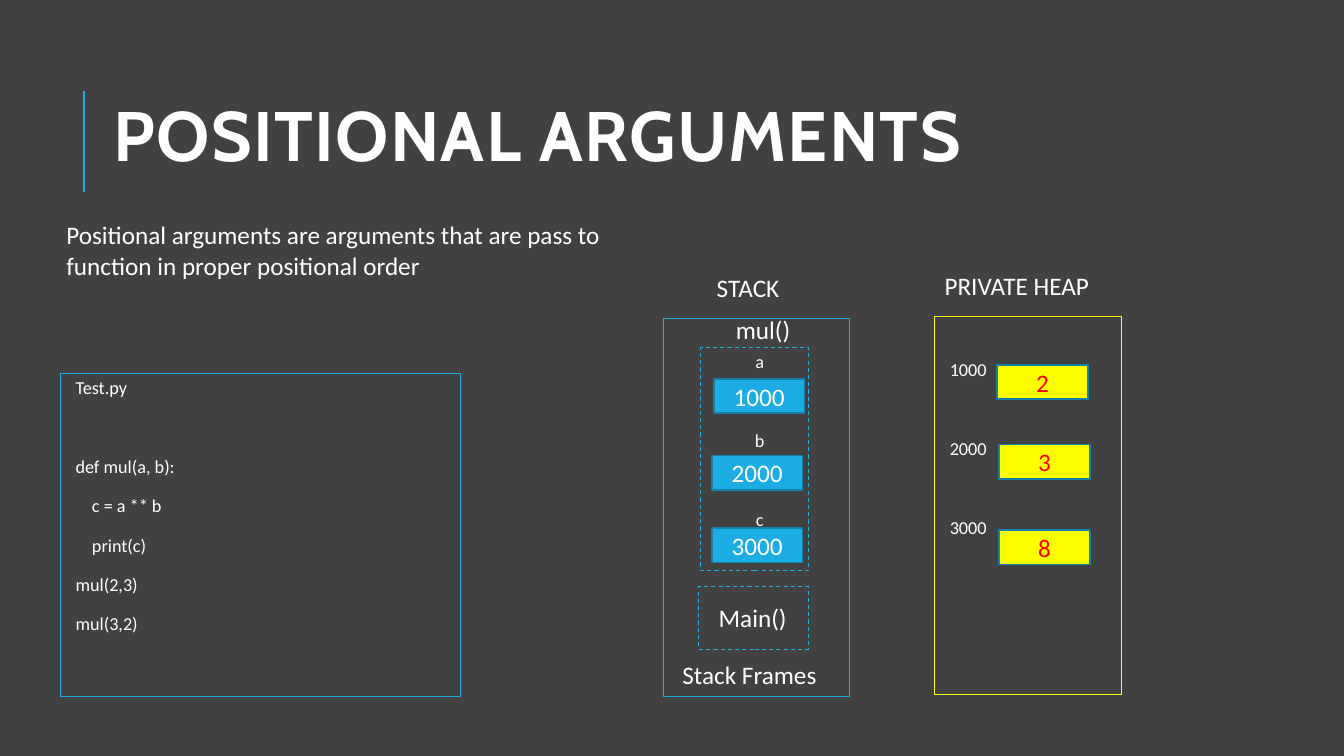
from dataclasses import dataclass

from lxml import etree
from pptx import Presentation
from pptx.dml.color import RGBColor
from pptx.enum.dml import MSO_LINE
from pptx.enum.shapes import MSO_CONNECTOR, MSO_SHAPE
from pptx.enum.text import MSO_ANCHOR, PP_ALIGN
from pptx.oxml.ns import qn
from pptx.util import Inches, Pt

RECTANGLE = MSO_SHAPE.RECTANGLE
STRAIGHT = MSO_CONNECTOR.STRAIGHT
DASH = MSO_LINE.DASH
LEFT, CENTER = PP_ALIGN.LEFT, PP_ALIGN.CENTER
TOP, MIDDLE = MSO_ANCHOR.TOP, MSO_ANCHOR.MIDDLE

# The slide is a grid of 133.3 columns by 75 rows of square cells
WIDTH, HEIGHT = Inches(13.33), Inches(7.5)
CELL = HEIGHT / 75


@dataclass(frozen=True)
class Theme:
    background: str = "414141"
    text: str = "FFFFFF"
    accent: str = "1CADE4"
    accent_edge: str = "1580A9"
    heap: str = "FFFF00"
    heap_value: str = "FF0000"
    heading_font: str = "Cabin"
    body_font: str = "Calibri"
    title_size: int = 50
    label_size: int = 18
    listing_size: int = 13


THEME = Theme()
PITCH = 28.3  # points from one listing line to the next
LINE_GAP = 12
WIDE_GAP = LINE_GAP + PITCH  # skips one listing line
INSET = 0.5  # cells
LISTING_INSETS = (3 * INSET, INSET, INSET, INSET)


def grid(*cells):
    return [round(cell * CELL) for cell in cells]


def rgb(code):
    return RGBColor.from_string(code)


def write(shape, lines, *, size=THEME.label_size, font=THEME.body_font,
          color=THEME.text, bold=False, tracking=None, align=LEFT,
          anchor=TOP, insets=(1, 0.5, 1, 0.5), spacing=None, after=0, gaps=None):
    """Write lines into a shape; gaps are the points before each line."""
    frame = shape.text_frame
    frame.word_wrap = True
    frame.vertical_anchor = anchor
    (frame.margin_left, frame.margin_top,
     frame.margin_right, frame.margin_bottom) = grid(*insets)
    for index, line in enumerate(lines):
        paragraph = frame.add_paragraph() if index else frame.paragraphs[0]
        paragraph.alignment = align
        paragraph.line_spacing = spacing
        paragraph.space_before = Pt(gaps[index] if gaps else 0)
        paragraph.space_after = Pt(after)
        run = paragraph.add_run()
        run.text = line
        run.font.size = Pt(size)
        run.font.name = font
        run.font.bold = bold
        run.font.color.rgb = rgb(color)
        if tracking:
            run.font._element.set("spc", str(tracking * 100))


def write_listing(shape, lines, gaps, *, align=LEFT, insets=LISTING_INSETS):
    write(shape, lines, size=THEME.listing_size, align=align, insets=insets,
          spacing=0.9, after=2, gaps=gaps)


def add_label(slide, text, place, **text_format):
    label = slide.shapes.add_textbox(*grid(*place))
    write(label, [text], **text_format)


def add_box(slide, place, *, edge=THEME.accent, weight=0.75, fill=None, dash=None):
    box = slide.shapes.add_shape(RECTANGLE, *grid(*place))
    box.shadow.inherit = False
    if fill:
        box.fill.solid()
        box.fill.fore_color.rgb = rgb(fill)
    else:
        box.fill.background()
    box.line.color.rgb = rgb(edge)
    box.line.width = Pt(weight)
    if dash:
        box.line.dash_style = dash
    return box


def add_memory_cell(slide, value, column, row, *, fill, color):
    cell = add_box(slide, (column, row, 9, 3.4), edge=THEME.accent_edge,
                   weight=1.25, fill=fill)
    write(cell, [value], color=color, align=CENTER, anchor=MIDDLE)


def add_title_rule(slide, column, top, bottom):
    rule = slide.shapes.add_connector(STRAIGHT, *grid(column, bottom, column, top))
    rule.line.color.rgb = rgb(THEME.accent)
    rule.line.width = Pt(1.5)
    etree.SubElement(rule._element.spPr, qn("a:effectLst"))


def add_heading(slide):
    add_label(slide, "POSITIONAL ARGUMENTS", (10.3, 5.8, 106.3, 16.4),
              size=THEME.title_size, font=THEME.heading_font, bold=True,
              tracking=1, anchor=MIDDLE, spacing=0.8)
    add_title_rule(slide, 8.3, 9, 19)
    add_label(slide, "Positional arguments are arguments that are pass to "
              "function in proper positional order", (5.6, 21.3, 55.7, 7.1))


def add_code(slide):
    code = ["Test.py", "def mul(a, b):", "    c = a ** b", "    print(c)",
            "mul(2,3)", "mul(3,2)"]
    panel = add_box(slide, (6, 37.1, 39.7, 32))
    write_listing(panel, code, [0, WIDE_GAP] + [LINE_GAP] * 4)


def add_stack(slide):
    add_box(slide, (65.8, 31.6, 18.5, 37.5))
    mul_frame = add_box(slide, (69.5, 34.5, 10.7, 22.1), dash=DASH)
    write_listing(mul_frame, ["a", "b", "c"], [0, WIDE_GAP, WIDE_GAP], align=CENTER)
    add_box(slide, (69.3, 58.2, 10.9, 6.2), dash=DASH)

    for text, column, row, width in (("STACK", 70.1, 26.5, 9),
                                     ("mul()", 72, 30.7, 9),
                                     ("Main()", 70.3, 59.3, 9),
                                     ("Stack Frames", 66.7, 64.9, 17.3)):
        add_label(slide, text, (column, row, width, 4))

    for address, column, row in (("1000", 70.8, 37.6), ("2000", 70.6, 45.2),
                                 ("3000", 70.6, 52.4)):
        add_memory_cell(slide, address, column, row, fill=THEME.accent, color=THEME.text)


def add_heap(slide):
    add_label(slide, "PRIVATE HEAP", (92.7, 26.3, 17, 4))
    heap = add_box(slide, (92.7, 31.4, 18.5, 37.5), edge=THEME.heap)
    # The addresses start one listing line below the top edge
    first_line = INSET + Pt(PITCH) / CELL
    write_listing(heap, ["1000", "2000", "3000"], [0, WIDE_GAP, WIDE_GAP],
                  insets=(3 * INSET, first_line, INSET, INSET))

    for value, column, row in (("2", 98.9, 36.2), ("3", 99.1, 44.1), ("8", 99.1, 52.6)):
        add_memory_cell(slide, value, column, row, fill=THEME.heap, color=THEME.heap_value)


def main():
    deck = Presentation()
    deck.slide_width, deck.slide_height = WIDTH, HEIGHT
    slide = deck.slides.add_slide(deck.slide_layouts[6])
    slide.background.fill.solid()
    slide.background.fill.fore_color.rgb = rgb(THEME.background)

    add_heading(slide)
    add_code(slide)
    add_stack(slide)
    add_heap(slide)
    deck.save("out.pptx")


if __name__ == "__main__":
    main()
